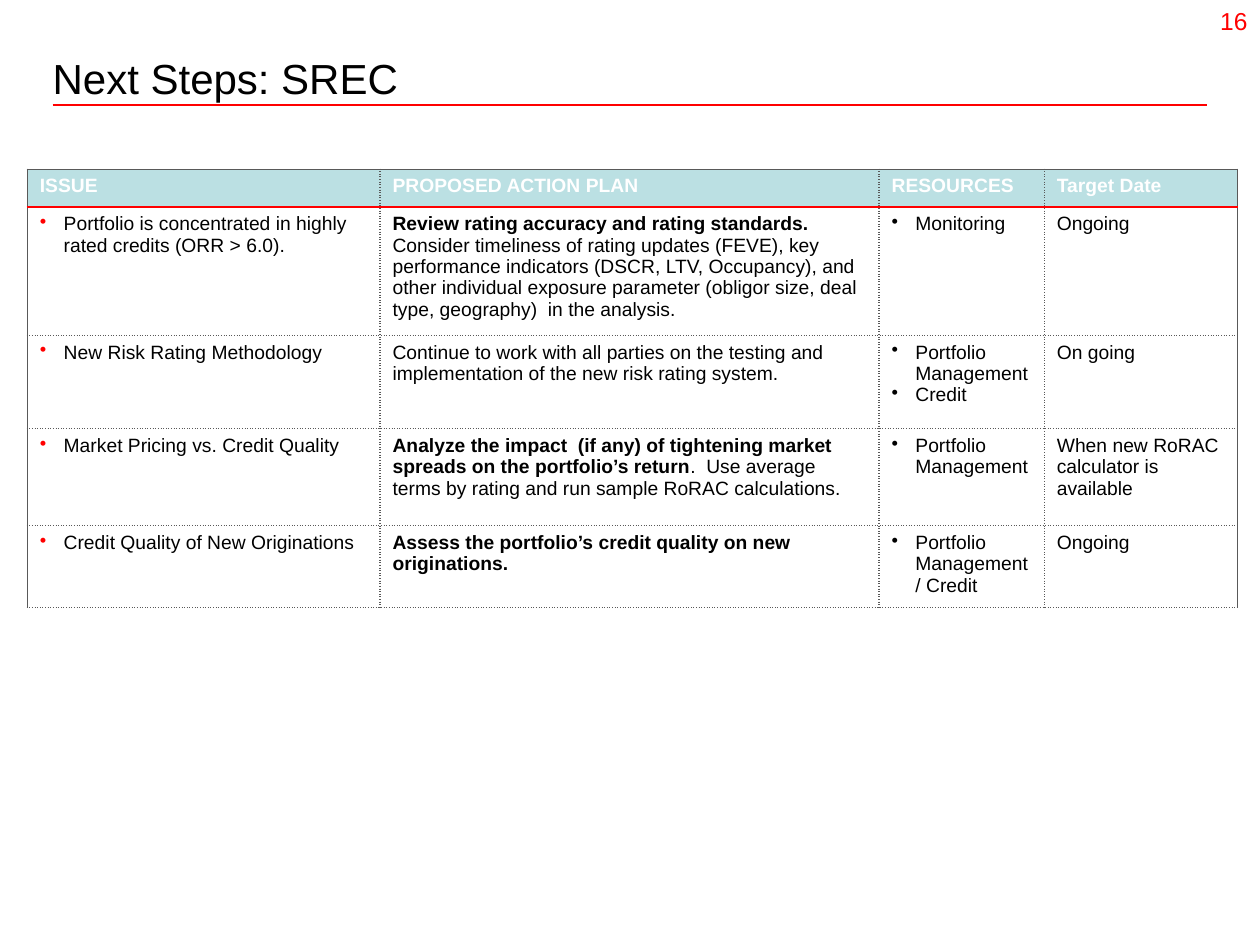
from lxml import etree
from pptx import Presentation
from pptx.dml.color import RGBColor
from pptx.enum.shapes import MSO_CONNECTOR
from pptx.enum.text import MSO_ANCHOR, MSO_AUTO_SIZE, PP_ALIGN
from pptx.oxml.ns import qn
from pptx.util import Cm, Pt

TOP, RIGHT, NO_FIT = MSO_ANCHOR.TOP, PP_ALIGN.RIGHT, MSO_AUTO_SIZE.NONE
STRAIGHT = MSO_CONNECTOR.STRAIGHT

FONT = "Arial"
COLORS = {"red": "FF0000", "black": "000000", "white": "FFFFFF",
          "teal": "BBE0E3", "gray": "595959"}

TITLE = "Next Steps: SREC"
PAGE = "16"
HEAD = ["ISSUE", "PROPOSED ACTION PLAN", "RESOURCES", "Target Date"]
# Each row: issue, (bold part, plain part) of the plan, resources, date
STEPS = [
    ("Portfolio is concentrated in highly rated credits (ORR > 6.0).",
     ("Review rating accuracy and rating standards. ",
      "Consider timeliness of rating updates (FEVE), key performance "
      "indicators (DSCR, LTV, Occupancy), and other individual exposure "
      "parameter (obligor size, deal type, geography)  in the analysis."),
     ["Monitoring"], "Ongoing"),
    ("New Risk Rating Methodology",
     ("", "Continue to work with all parties on the testing and "
          "implementation of the new risk rating system."),
     ["Portfolio Management", "Credit"], "On going"),
    ("Market Pricing vs. Credit Quality",
     ("Analyze the impact  (if any) of tightening market spreads on the "
      "portfolio’s return",
      ".  Use average terms by rating and run sample RoRAC calculations."),
     ["Portfolio Management"], "When new RoRAC calculator is available"),
    ("Credit Quality of New Originations",
     ("Assess the portfolio’s credit quality on new originations.", ""),
     ["Portfolio Management / Credit"], "Ongoing"),
]
WIDTHS = [7.11, 10.06, 3.33, 3.89]
HEIGHTS = [0.76, 2.59, 1.88, 1.96, 1.35]
INDENT = Cm(0.48)


def rgb(name):
    return RGBColor.from_string(COLORS[name])


def style(run, size, color, bold=False):
    font = run.font
    font.name, font.size, font.bold = FONT, Pt(size), bold
    font.color.rgb = rgb(color)


def add_color(parent, name):
    fill = etree.SubElement(parent, qn("a:solidFill"))
    etree.SubElement(fill, qn("a:srgbClr"), val=COLORS[name])


def add_bullet(para, color):
    props = para._p.get_or_add_pPr()
    props.set("marL", str(INDENT))
    props.set("indent", str(-INDENT))
    tint = etree.SubElement(props, qn("a:buClr"))
    etree.SubElement(tint, qn("a:srgbClr"), val=COLORS[color])
    etree.SubElement(props, qn("a:buChar"), char="•")


def add_edge(cell, side, color, width, dash):
    line = etree.SubElement(cell._tc.get_or_add_tcPr(), qn("a:ln" + side),
                            w=str(Pt(width)))
    add_color(line, color)
    etree.SubElement(line, qn("a:prstDash"), val=dash)


def frame_cell(cell, row, col):
    """Solid outer edges, dotted inner ones, a red rule under the head."""
    solid, dots = ("gray", 0.75, "solid"), ("gray", 0.75, "sysDot")
    rule = ("red", 1, "solid")
    add_edge(cell, "L", *(solid if col == 0 else dots))
    add_edge(cell, "R", *(solid if col == len(HEAD) - 1 else dots))
    add_edge(cell, "T", *({0: solid, 1: rule}.get(row, dots)))
    add_edge(cell, "B", *(rule if row == 0 else dots))
    cell.fill.solid()
    cell.fill.fore_color.rgb = rgb("white" if row else "teal")


def fill_cell(cell, paras, color="black", bullet=None):
    """Write paragraphs, each a list of (text, bold) parts."""
    frame = cell.text_frame
    for i, parts in enumerate(paras):
        para = frame.add_paragraph() if i else frame.paragraphs[0]
        if bullet:
            add_bullet(para, bullet)
        for text, bold in parts:
            if text:
                run = para.add_run()
                run.text = text
                style(run, 11, color, bold)


def add_title(slide):
    title = slide.shapes.title
    title.left, title.top = Cm(1.06), Cm(1.06)
    title.width, title.height = Cm(23.28), Cm(1.27)
    frame = title.text_frame
    frame.text = TITLE
    frame.auto_size, frame.vertical_anchor = NO_FIT, TOP
    frame.margin_left = frame.margin_right = 0
    frame.margin_top = frame.margin_bottom = 0
    para = frame.paragraphs[0]
    para.alignment = PP_ALIGN.LEFT
    style(para.runs[0], 24, "black")


def add_rule(slide):
    rule = slide.shapes.add_connector(STRAIGHT, Cm(1.06), Cm(2.11),
                                      Cm(24.34), Cm(2.11))
    rule.line.color.rgb = rgb("red")
    rule.line.width = Pt(1.25)
    etree.SubElement(rule._element.spPr, qn("a:effectLst"))


def add_page(slide):
    box = slide.shapes.add_textbox(Cm(24.34), 0, Cm(1.06), Cm(1.06))
    frame = box.text_frame
    frame.text = PAGE
    frame.word_wrap = False
    para = frame.paragraphs[0]
    para.alignment = RIGHT
    style(para.runs[0], 14, "red")


def add_steps(slide):
    table = slide.shapes.add_table(
        len(HEIGHTS), len(WIDTHS), Cm(0.55), Cm(3.41),
        Cm(sum(WIDTHS)), Cm(sum(HEIGHTS))).table
    for col, width in zip(table.columns, WIDTHS):
        col.width = Cm(width)
    for row, height in zip(table.rows, HEIGHTS):
        row.height = Cm(height)
    for r in range(len(HEIGHTS)):
        for c in range(len(WIDTHS)):
            frame_cell(table.cell(r, c), r, c)
    for c, text in enumerate(HEAD):
        fill_cell(table.cell(0, c), [[(text, True)]], "white")
    for r, (issue, (strong, plain), team, date) in enumerate(STEPS, 1):
        fill_cell(table.cell(r, 0), [[(issue, False)]], bullet="red")
        fill_cell(table.cell(r, 1), [[(strong, True), (plain, False)]])
        fill_cell(table.cell(r, 2), [[(name, False)] for name in team],
                  bullet="black")
        fill_cell(table.cell(r, 3), [[(date, False)]])


def main():
    deck = Presentation()
    deck.slide_width, deck.slide_height = Cm(25.4), Cm(19.05)
    slide = deck.slides.add_slide(deck.slide_layouts[5])
    add_rule(slide)
    add_title(slide)
    add_page(slide)
    add_steps(slide)
    deck.save("out.pptx")


if __name__ == "__main__":
    main()
